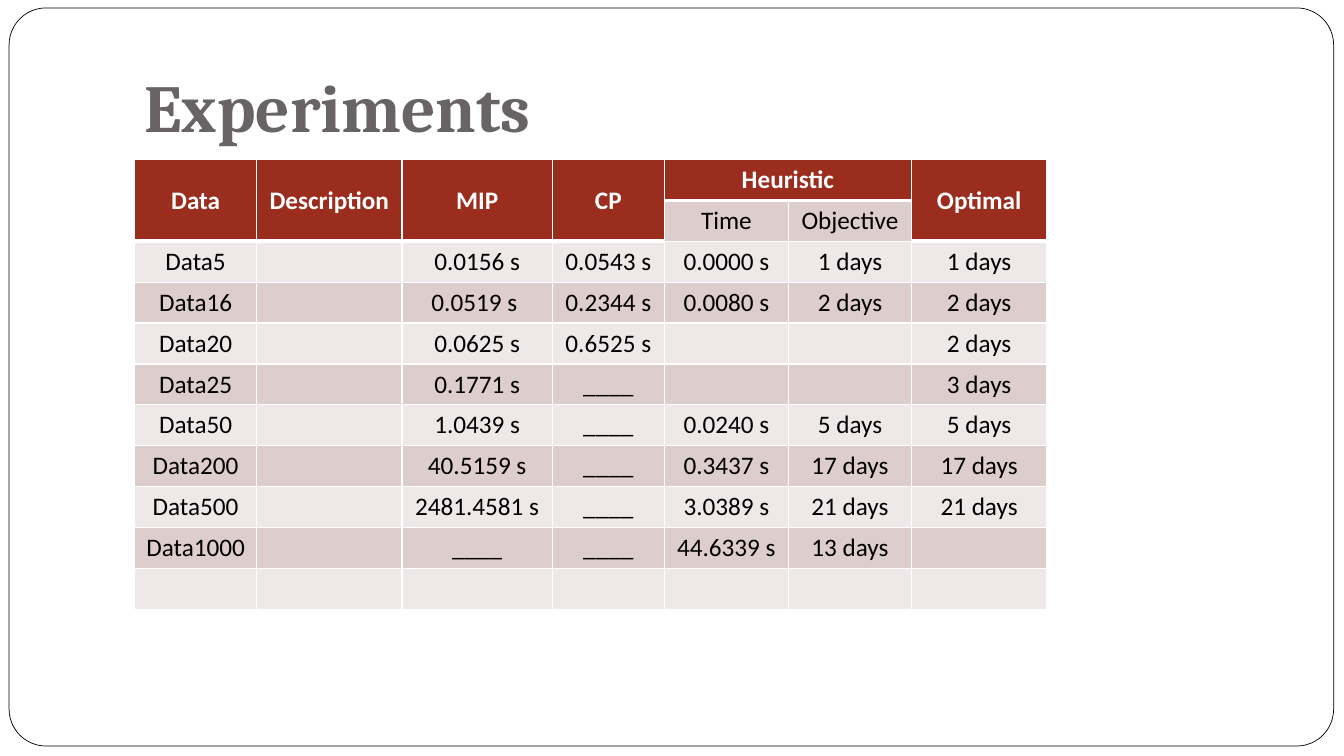
from lxml.etree import SubElement
from pptx import Presentation
from pptx.dml.color import RGBColor
from pptx.enum.shapes import MSO_SHAPE
from pptx.enum.text import MSO_ANCHOR, PP_ALIGN
from pptx.oxml.ns import qn
from pptx.util import Cm, Pt

HEADER_FILL = "9B2D1F"
BAND_FILLS = ("EFE8E8", "DECDCD")
COLUMN_WIDTHS = (3.08, 3.66, 3.79, 2.82, 3.13, 3.1, 3.41)
ROW_HEIGHT = 1.03
NONE = "____"
ROWS = [
    ("Data", "Description", "MIP", "CP", "Heuristic", "", "Optimal"),
    ("", "", "", "", "Time", "Objective", ""),
    ("Data5", "", "0.0156 s", "0.0543 s", "0.0000 s", "1 days", "1 days"),
    ("Data16", "", "0.0519 s ", "0.2344 s", "0.0080 s", "2 days", "2 days"),
    ("Data20", "", "0.0625 s", "0.6525 s", "", "", "2 days"),
    ("Data25", "", "0.1771 s", NONE, "", "", "3 days"),
    ("Data50", "", "1.0439 s", NONE, "0.0240 s", "5 days", "5 days"),
    ("Data200", "", "40.5159 s", NONE, "0.3437 s", "17 days", "17 days"),
    ("Data500", "", "2481.4581 s", NONE, "3.0389 s", "21 days", "21 days"),
    ("Data1000", "", NONE, NONE, "44.6339 s", "13 days", ""),
    ("",) * 7,
]
HEURISTIC_COLUMNS = (4, 5)


def color(hex_string):
    return RGBColor.from_string(hex_string)


def add_run(paragraph, text, font_name, size, hex_string, bold=False):
    run = paragraph.add_run()
    run.text = text
    run.font.name = font_name
    run.font.size = Pt(size)
    run.font.bold = bold
    run.font.color.rgb = color(hex_string)


def set_borders(cell, top, bottom):
    """Draw white cell borders; the widths are in points."""
    properties = cell._tc.get_or_add_tcPr()
    widths = {"a:lnL": 1, "a:lnR": 1, "a:lnT": top, "a:lnB": bottom}
    for position, (tag, width) in enumerate(widths.items()):
        line = properties.makeelement(qn(tag), {"w": str(Pt(width))})
        fill = SubElement(line, qn("a:solidFill"))
        SubElement(fill, qn("a:srgbClr"), val="FFFFFF")
        properties.insert(position, line)


def add_frame(slide, left, top, width, height):
    frame = slide.shapes.add_shape(
        MSO_SHAPE.ROUNDED_RECTANGLE, Cm(left), Cm(top), Cm(width), Cm(height))
    frame.adjustments[0] = 0.05
    frame.shadow.inherit = False
    frame.fill.solid()
    frame.fill.fore_color.rgb = color("FFFFFF")
    frame.line.color.rgb = color("000000")
    frame.line.width = Pt(0.5)


def add_title(slide, left, top, width, height):
    title = slide.shapes.add_textbox(Cm(left), Cm(top), Cm(width), Cm(height))
    text_frame = title.text_frame
    text_frame.word_wrap = True
    text_frame.vertical_anchor = MSO_ANCHOR.BOTTOM
    text_frame.margin_bottom = Cm(0.25)
    add_run(text_frame.paragraphs[0], "Experiments", "Cambria", 48, "696464", True)


def add_results_table(slide, left, top):
    table = slide.shapes.add_table(
        len(ROWS), len(COLUMN_WIDTHS), Cm(left), Cm(top),
        Cm(sum(COLUMN_WIDTHS)), Cm(ROW_HEIGHT * len(ROWS))).table
    for column, width in zip(table.columns, COLUMN_WIDTHS):
        column.width = Cm(width)

    for row_index, values in enumerate(ROWS):
        table.rows[row_index].height = Cm(ROW_HEIGHT)
        for column_index, text in enumerate(values):
            cell = table.cell(row_index, column_index)
            is_subheader = row_index == 1 and column_index in HEURISTIC_COLUMNS
            is_header = row_index < 2 and not is_subheader

            # Banded fill and rules, heavier below the header
            cell.fill.solid()
            cell.fill.fore_color.rgb = color(
                HEADER_FILL if is_header else BAND_FILLS[row_index % 2])
            below_header = is_subheader or (
                row_index == 2 and column_index not in HEURISTIC_COLUMNS)
            set_borders(cell, 3 if below_header else 1, 3 if is_header else 1)

            # Centred text
            cell.vertical_anchor = MSO_ANCHOR.MIDDLE
            paragraph = cell.text_frame.paragraphs[0]
            paragraph.alignment = PP_ALIGN.CENTER
            if text:
                add_run(paragraph, text, "Calibri", 18,
                        "FFFFFF" if is_header else "000000", is_header)

    # Two-level header
    for column_index in range(len(COLUMN_WIDTHS)):
        if column_index not in HEURISTIC_COLUMNS:
            table.cell(0, column_index).merge(table.cell(1, column_index))
    first, last = HEURISTIC_COLUMNS
    table.cell(0, first).merge(table.cell(0, last))


def main():
    presentation = Presentation()
    presentation.slide_width = Cm(33.87)
    presentation.slide_height = Cm(19.05)
    slide = presentation.slides.add_slide(presentation.slide_layouts[6])
    add_frame(slide, 0.23, 0.2, 33.38, 18.6)
    add_title(slide, 3.39, 0.76, 28.78, 3.18)
    add_results_table(slide, 3.39, 4.02)
    presentation.save("out.pptx")


if __name__ == "__main__":
    main()
